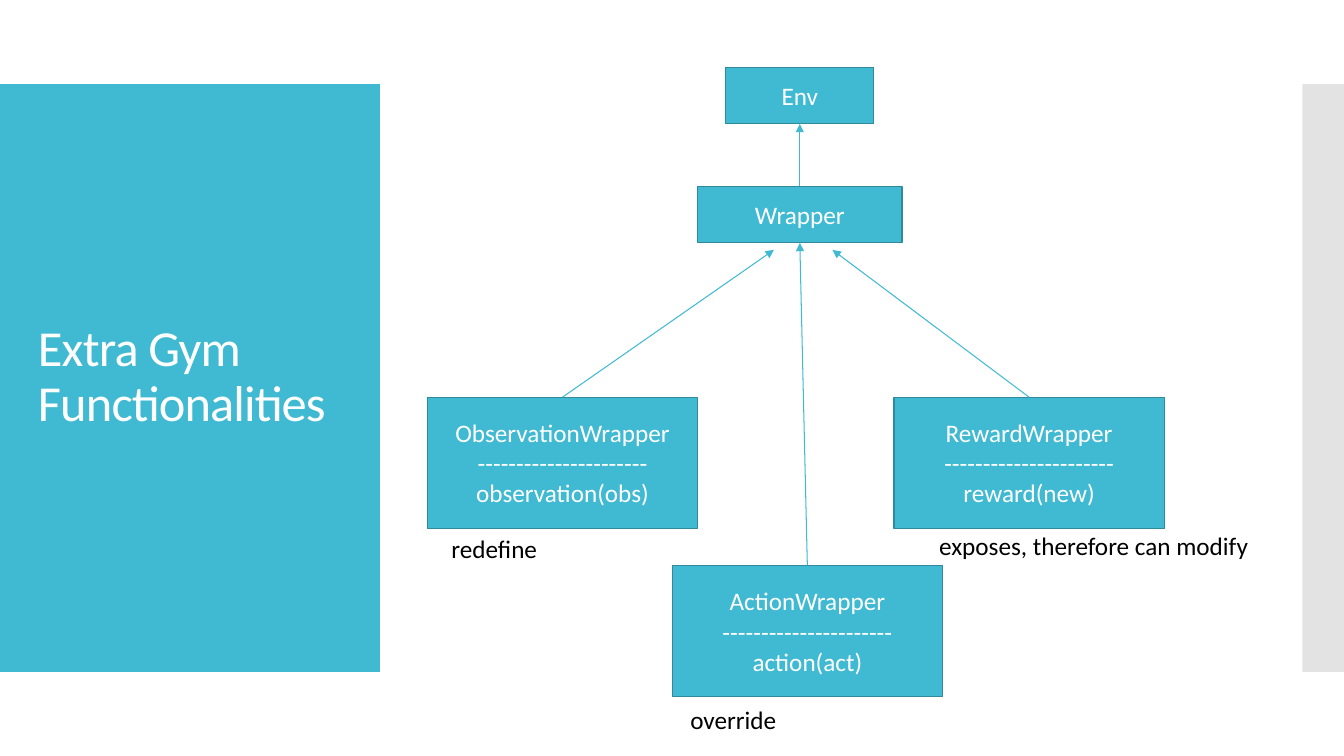
from dataclasses import dataclass
from pptx import Presentation
from pptx.dml.color import RGBColor as RGB
from pptx.enum.shapes import MSO_CONNECTOR as Link, MSO_SHAPE as Form
from pptx.enum.text import MSO_ANCHOR as Anchor, MSO_AUTO_SIZE as Fit, PP_ALIGN as Align
from pptx.oxml.ns import qn
from pptx.util import Pt
from lxml.etree import SubElement as Sub


@dataclass(frozen=True)
class Theme:
    teal: RGB = RGB.from_string("40BAD2")
    edge: RGB = RGB.from_string("2F8A9B")
    gray: RGB = RGB.from_string("C8C8C8")
    white: RGB = RGB.from_string("FFFFFF")
    black: RGB = RGB.from_string("000000")
    font: str = "Calibri"
    head: float = 36
    body: float = 18
    thin: float = 0.75
    rim: float = 0.85


look = Theme()


def apply(item, vals):
    for name, val in vals.items():
        setattr(item, name, val)


def write(shape, lines, size, color, frame, para):
    text = shape.text_frame
    apply(text, frame)
    text.text = "\n".join(lines)
    for part in text.paragraphs:
        apply(part, para)
        for run in part.runs:
            apply(run.font, {"name": look.font, "size": Pt(size)})
            run.font.color.rgb = color


def rect(slide, box, fill, edge=None):
    shape = slide.shapes.add_shape(Form.RECTANGLE, *map(Pt, box))
    shape.shadow.inherit = False
    shape.fill.solid()
    shape.fill.fore_color.rgb = fill
    if edge is None:
        shape.line.fill.background()
    else:
        shape.line.color.rgb = edge
        shape.line.width = Pt(look.rim)
    return shape


def node(slide, box, lines):
    shape = rect(slide, box, look.teal, look.edge)
    write(shape, lines, look.body, look.white,
          {"vertical_anchor": Anchor.MIDDLE, "word_wrap": True},
          {"alignment": Align.CENTER})
    return shape


def label(slide, box, text):
    shape = slide.shapes.add_textbox(*map(Pt, box))
    write(shape, [text], look.body, look.black,
          {"word_wrap": False, "auto_size": Fit.SHAPE_TO_FIT_TEXT}, {})


def arrow(slide, child, base, shift=(0, 0)):
    dx, dy = map(Pt, shift)
    tip = base.left + base.width // 2 + dx, base.top + base.height + dy
    line = slide.shapes.add_connector(Link.STRAIGHT, 0, 0, *tip)
    line.begin_connect(child, 0)
    if not any(shift):
        line.end_connect(base, 2)
    line.line.color.rgb = look.teal
    line.line.width = Pt(look.thin)
    Sub(line.line._get_or_add_ln(), qn("a:tailEnd"), type="triangle")
    Sub(line._element.spPr, qn("a:effectLst"))


def panel(slide, box):
    x, y, wide, high = box
    rect(slide, box, look.teal)
    title = slide.shapes.add_textbox(
        *map(Pt, (x + 20, y + 28.5, wide - 39.4, high - 57.5)))
    write(title, ["Extra Gym Functionalities"], look.head, look.white,
          {"vertical_anchor": Anchor.MIDDLE, "word_wrap": True},
          {"line_spacing": 0.9})
    for run in title.text_frame.paragraphs[0].runs:
        run.font._element.set("spc", "-60")


def strip(slide, box):
    shape = rect(slide, box, look.gray)
    color = shape._element.spPr.find(qn("a:solidFill"))[0]
    Sub(color, qn("a:alpha"), val="50000")


def tree(slide, box):
    x, y, wide, high = box
    mid = x + 266
    env, wrap = [
        node(slide, (mid - size / 2, y + drop, size, 40.3), [name])
        for name, size, drop in (("Env", 105.8, 0), ("Wrapper", 146.2, 85))]
    arrow(slide, wrap, env)
    leaf, tall = 193, 93.6
    low = y + high - tall
    row = low - 120.2
    for left, top, name, call, tip, note, shift, size in (
        (x, row, "ObservationWrapper", "observation(obs)",
         (-18.5, 5), "redefine", (10.1, 0), 77),
        (x + 174.9, low, "ActionWrapper", "action(act)",
         (0, 0), "override", (5.8, 2.2), 77),
        (x + wide - leaf, row, "RewardWrapper", "reward(new)",
         (23.4, 5), "exposes, therefore can modify", (25.2, -2.2), 241),
    ):
        child = node(slide, (left, top, leaf, tall), [name, "-" * 22, call])
        arrow(slide, child, wrap, tip)
        dx, dy = shift
        label(slide, (left + dx, top + tall + dy, size, 29), note)


deck = Presentation()
apply(deck, {"slide_width": Pt(960), "slide_height": Pt(540)})
page = deck.slides.add_slide(deck.slide_layouts[6])
panel(page, (0, 60, 271.4, 420))
strip(page, (930.2, 60, 29.8, 420))
tree(page, (305.3, 48.2, 526.3, 449.3))
deck.save("out.pptx")
